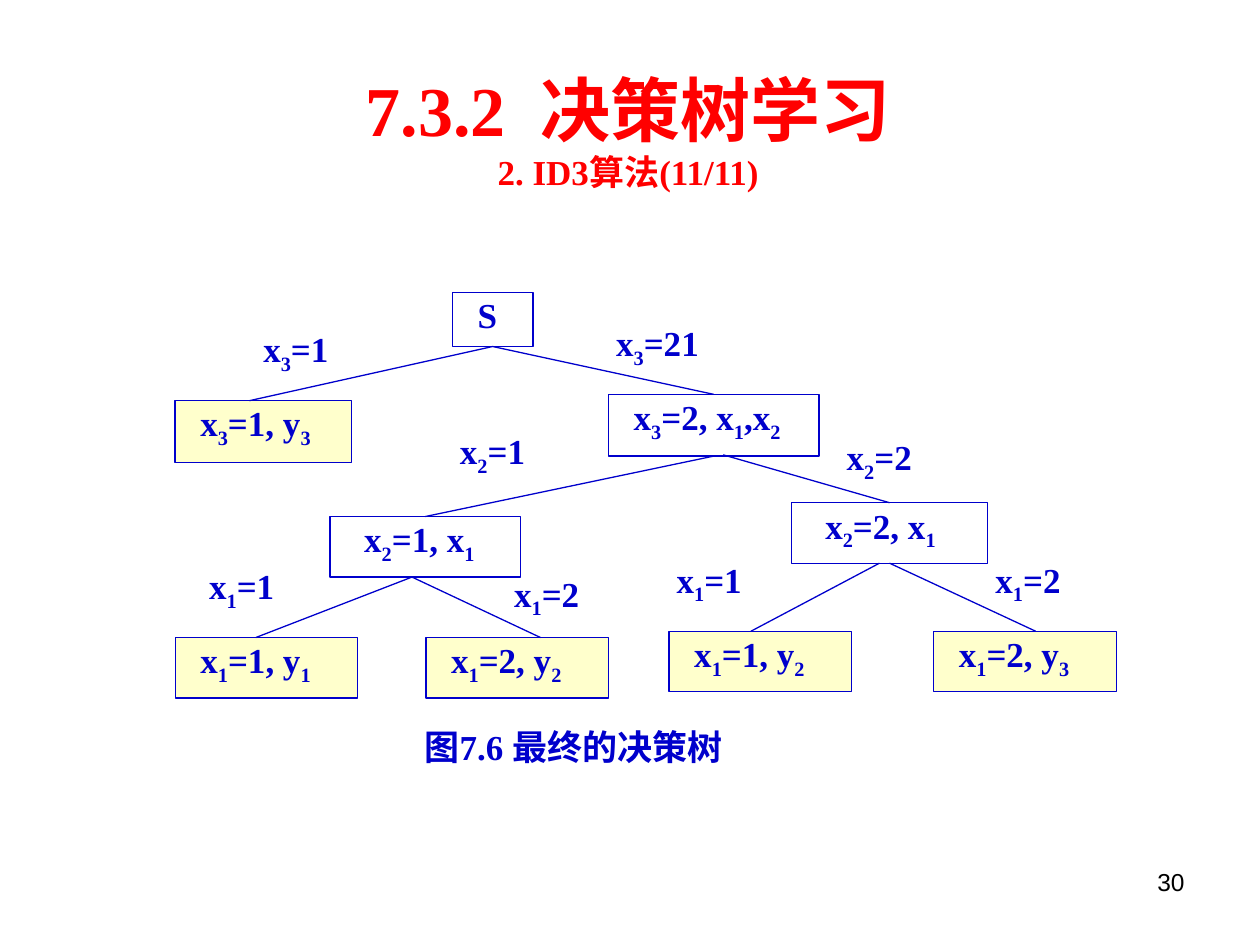
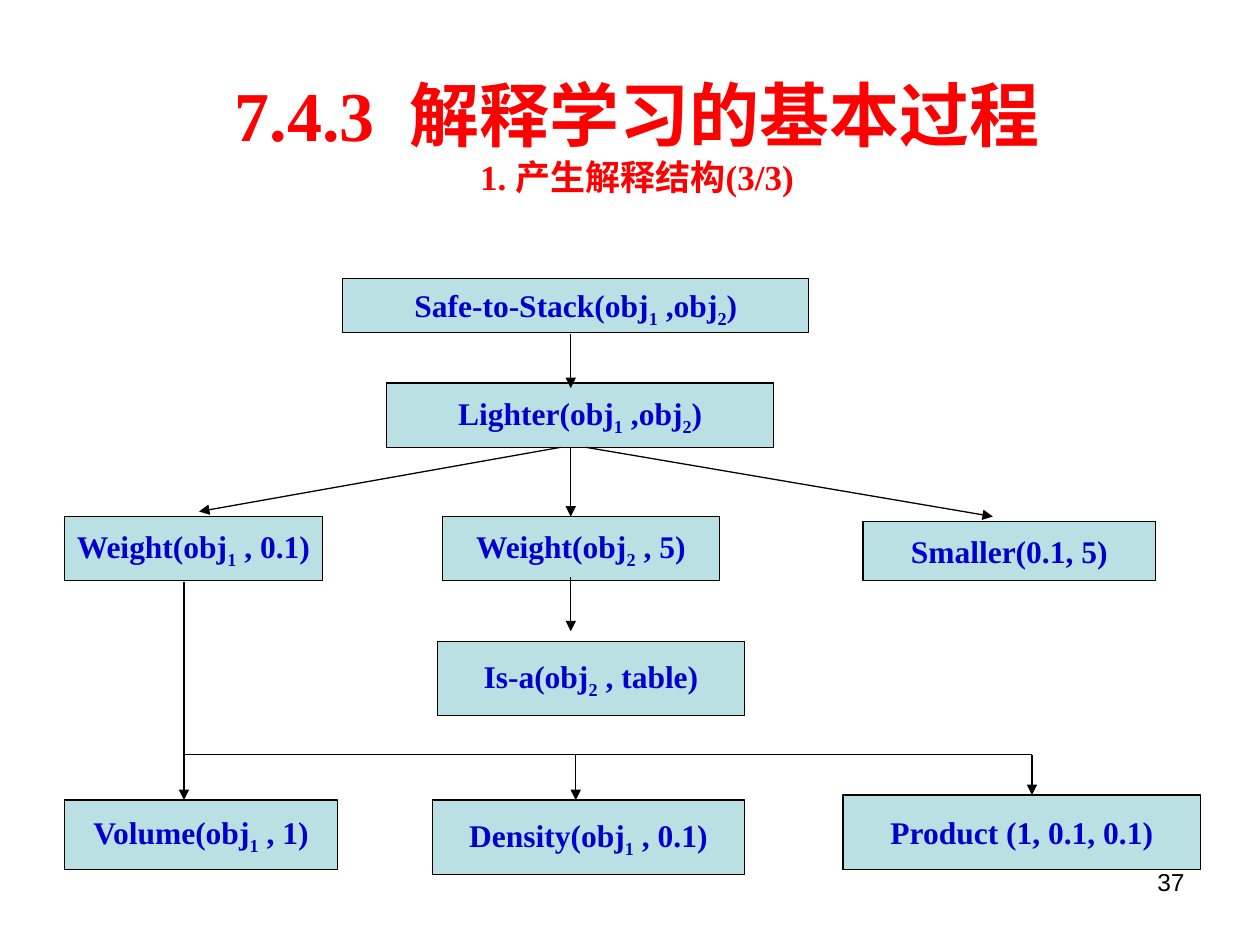
"""Build two lecture slides: a decision tree and an explanation structure."""
from dataclasses import dataclass

from lxml import etree
from pptx import Presentation
from pptx.dml.color import RGBColor
from pptx.enum import shapes, text
from pptx.oxml.ns import qn
from pptx.util import Inches, Pt

BLUE = RGBColor(0x00, 0x00, 0xCC)
RED = RGBColor(0xFF, 0x00, 0x00)
BLACK = RGBColor(0x00, 0x00, 0x00)
WHITE = RGBColor(0xFF, 0xFF, 0xFF)
CREAM = RGBColor(0xFF, 0xFF, 0xCC)
AQUA = RGBColor(0xBB, 0xE0, 0xE3)
SERIF = "Times New Roman"
SANS = "Arial"
LINE_WIDTH = Pt(0.75)
TITLE_ONLY = 5
SNAP = Inches(0.03)


@dataclass
class Box:
    """A labelled rectangle; an underscore in the label lowers the next character."""
    label: str
    left: float
    top: float
    width: float
    height: float
    fill: RGBColor = AQUA
    indent: float = 0.2
    spacing: float = 1.0


@dataclass
class Label:
    """Free text beside a branch."""
    text: str
    left: float
    top: float
    width: float = 0.81
    height: float = 0.38


@dataclass
class Link:
    """A straight line between two points."""
    x1: float
    y1: float
    x2: float
    y2: float
    arrow: bool = True


TREE_NODES = [
    Box("S", 3.59, 2.32, 0.64, 0.43, WHITE),
    Box("x_3=1, y_3", 1.39, 3.18, 1.4, 0.49, CREAM),
    Box("x_3=2, x_1,x_2", 4.83, 3.13, 1.67, 0.49, WHITE),
    Box("x_2=1, x_1", 2.62, 4.1, 1.51, 0.48, WHITE, 0.27),
    Box("x_2=2, x_1", 6.28, 3.99, 1.56, 0.48, WHITE, 0.27),
    *(Box(label, left, top, 1.45, 0.48, CREAM) for label, left, top in [
        ("x_1=1, y_1", 1.39, 5.06), ("x_1=2, y_2", 3.38, 5.06),
        ("x_1=1, y_2", 5.31, 5.01), ("x_1=2, y_3", 7.41, 5.01)]),
]
TREE_BRANCHES = [
    Link(3.91, 2.75, 1.98, 3.18, False), Link(3.91, 2.75, 5.64, 3.13, False),
    Link(5.64, 3.61, 3.38, 4.1, False), Link(5.74, 3.61, 7.04, 3.99, False),
    Link(3.27, 4.58, 2.03, 5.06, False), Link(3.27, 4.58, 4.29, 5.06, False),
    Link(6.98, 4.47, 5.96, 5.01, False), Link(7.04, 4.47, 8.22, 5.01, False),
]
BRANCH_LABELS = [
    Label("x_3=1", 2.03, 2.59), Label("x_3=21", 4.83, 2.54),
    Label("x_2=1", 3.59, 3.4), Label("x_2=2", 6.66, 3.45),
    Label("x_1=1", 1.6, 4.47), Label("x_1=2", 4.02, 4.53),
    Label("x_1=1", 5.31, 4.42), Label("x_1=2", 7.84, 4.42),
]
CAPTION = Label("图7.6 最终的决策树", 3.31, 5.75, 3.19, 0.5)

FACTS = [
    Box("Safe-to-Stack(obj_1 ,obj_2)", 2.72, 2.21, 3.7, 0.43, spacing=1.1),
    Box("Lighter(obj_1 ,obj_2)", 3.07, 3.04, 3.07, 0.51),
    Box("Weight(obj_1 , 0.1)", 0.51, 4.1, 2.05, 0.51),
    Box("Weight(obj_2 , 5)", 3.51, 4.1, 2.2, 0.51),
    Box("Smaller(0.1, 5)", 6.85, 4.14, 2.32, 0.47),
    Box("Is-a(obj_2 , table)", 3.47, 5.09, 2.44, 0.59),
    Box("Volume(obj_1 , 1)", 0.51, 6.35, 2.17, 0.55),
    Box("Density(obj_1 , 0.1)", 3.43, 6.35, 2.48, 0.59),
    Box("Product (1, 0.1, 0.1)", 6.69, 6.31, 2.84, 0.59),
]
FACT_LINKS = [
    Link(4.53, 2.65, 4.53, 3.08), Link(4.45, 3.55, 1.58, 4.06),
    Link(4.53, 3.55, 4.53, 4.1), Link(4.65, 3.55, 7.88, 4.1),
    Link(4.53, 4.58, 4.53, 5.01), Link(1.46, 4.62, 1.46, 6.35),
    Link(1.46, 5.99, 8.19, 5.99, False),
    Link(4.57, 5.99, 4.57, 6.35), Link(8.19, 5.99, 8.19, 6.31),
]


def set_font(p, size: float, color: RGBColor = BLUE, name: str = SERIF, bold: bool = True) -> None:
    """Set the font of a whole paragraph."""
    f = p.font
    f.size, f.name, f.bold = Pt(size), name, bold
    f.color.rgb = color


def set_insets(tf, left: float, top: float, right: float) -> None:
    """Set the inner margins of a text frame."""
    tf.margin_left, tf.margin_right = Inches(left), Inches(right)
    tf.margin_top = tf.margin_bottom = Inches(top)


def write_label(p, label: str, size: float) -> None:
    """Write a label with its subscripts."""
    head, *rest = label.split("_")
    p.add_run().text = head
    for part in rest:
        r = p.add_run()
        r.text = part[0]
        r._r.get_or_add_rPr().set("baseline", "-25000")
        if part[1:]:
            p.add_run().text = part[1:]
    set_font(p, size)


def add_title(s, number: str, name: str, subtitle: str, left: float, top: float) -> None:
    """Place the section heading and its smaller second line."""
    sp = s.shapes.title
    sp.left, sp.top, sp.width, sp.height = (Inches(v) for v in (left, top, 8.31, 1.1))
    tf = sp.text_frame
    tf.word_wrap = True
    tf.auto_size = text.MSO_AUTO_SIZE.NONE
    tf.vertical_anchor = text.MSO_ANCHOR.TOP
    set_insets(tf, 0.1, 0.05, 0.1)
    p = tf.paragraphs[0]
    p.add_run().text = number
    gap = p.add_run()
    gap.text = " "
    gap._r.get_or_add_rPr().set("spc", "1000")
    p.add_run().text = name
    second = tf.add_paragraph()
    second.text = subtitle
    for p, size in ((p, 40), (second, 20)):
        p.alignment = text.PP_ALIGN.CENTER
        p.space_before = Pt(0)
        set_font(p, size, RED)


def add_page_number(s, number: int) -> None:
    """Write the page number at the lower right."""
    tf = s.shapes.add_textbox(Inches(7.17), Inches(6.83), Inches(2.33), Inches(0.52)).text_frame
    tf.word_wrap = True
    p = tf.paragraphs[0]
    p.text = str(number)
    p.alignment = text.PP_ALIGN.RIGHT
    set_font(p, 14, BLACK, SANS, False)


def add_box(s, box: Box, line: RGBColor, size: float, centred: bool):
    """Draw a labelled rectangle and return it."""
    sp = s.shapes.add_shape(shapes.MSO_SHAPE.RECTANGLE, Inches(box.left), Inches(box.top),
                            Inches(box.width), Inches(box.height))
    sp.shadow.inherit = False
    sp.fill.solid()
    sp.fill.fore_color.rgb = box.fill
    sp.line.color.rgb = line
    sp.line.width = LINE_WIDTH
    tf = sp.text_frame
    p = tf.paragraphs[0]
    tf.word_wrap = not centred
    if centred:
        set_insets(tf, 0.1, 0.05, 0.1)
        tf.vertical_anchor = text.MSO_ANCHOR.MIDDLE
        p.alignment = text.PP_ALIGN.CENTER
        p.line_spacing = box.spacing
    else:
        set_insets(tf, box.indent, 0.01, 0.06)
        tf.vertical_anchor = text.MSO_ANCHOR.TOP
        p.alignment = text.PP_ALIGN.JUSTIFY
    write_label(p, box.label, size)
    return sp


def add_label(s, label: Label) -> None:
    """Write free text."""
    tf = s.shapes.add_textbox(Inches(label.left), Inches(label.top),
                              Inches(label.width), Inches(label.height)).text_frame
    tf.word_wrap = True
    set_insets(tf, 0.06, 0.01, 0.06)
    p = tf.paragraphs[0]
    p.alignment = text.PP_ALIGN.JUSTIFY
    write_label(p, label.text, 20)


def add_link(s, link: Link, boxes: list, color: RGBColor) -> None:
    """Draw a line and join its ends to the side middles they touch."""
    ends = [(Inches(link.x1), Inches(link.y1)), (Inches(link.x2), Inches(link.y2))]
    cx = s.shapes.add_connector(shapes.MSO_CONNECTOR.STRAIGHT, *ends[0], *ends[1])
    cx.line.color.rgb = color
    cx.line.width = LINE_WIDTH
    if link.arrow:
        etree.SubElement(cx.line._get_or_add_ln(), qn("a:tailEnd"), type="triangle")
    etree.SubElement(cx._element.spPr, qn("a:effectLst"))
    for (x, y), connect in zip(ends, (cx.begin_connect, cx.end_connect)):
        for sp in boxes:
            for site, side in ((0, sp.top), (2, sp.top + sp.height)):
                if abs(sp.left + sp.width / 2 - x) < SNAP and abs(side - y) < SNAP:
                    connect(sp, site)


def add_diagram(s, boxes: list[Box], links: list[Link], line: RGBColor,
                size: float, centred: bool) -> None:
    """Draw the boxes and the lines between them."""
    drawn = [add_box(s, box, line, size, centred) for box in boxes]
    for link in links:
        add_link(s, link, drawn, line)


def main() -> None:
    """Build and save the slides."""
    prs = Presentation()
    prs.slide_width, prs.slide_height = Inches(10), Inches(7.5)
    layout = prs.slide_layouts[TITLE_ONLY]

    s = prs.slides.add_slide(layout)
    add_title(s, "7.3.2", "决策树学习", "2. ID3算法(11/11)", 0.83, 0.48)
    add_diagram(s, TREE_NODES, TREE_BRANCHES, BLUE, 20, False)
    for label in [*BRANCH_LABELS, CAPTION]:
        add_label(s, label)
    add_page_number(s, 30)

    s = prs.slides.add_slide(layout)
    add_title(s, "7.4.3", "解释学习的基本过程", "1. 产生解释结构(3/3)", 0.9, 0.52)
    add_diagram(s, FACTS, FACT_LINKS, BLACK, 18, True)
    add_page_number(s, 37)

    prs.save("out.pptx")


if __name__ == "__main__":
    main()
